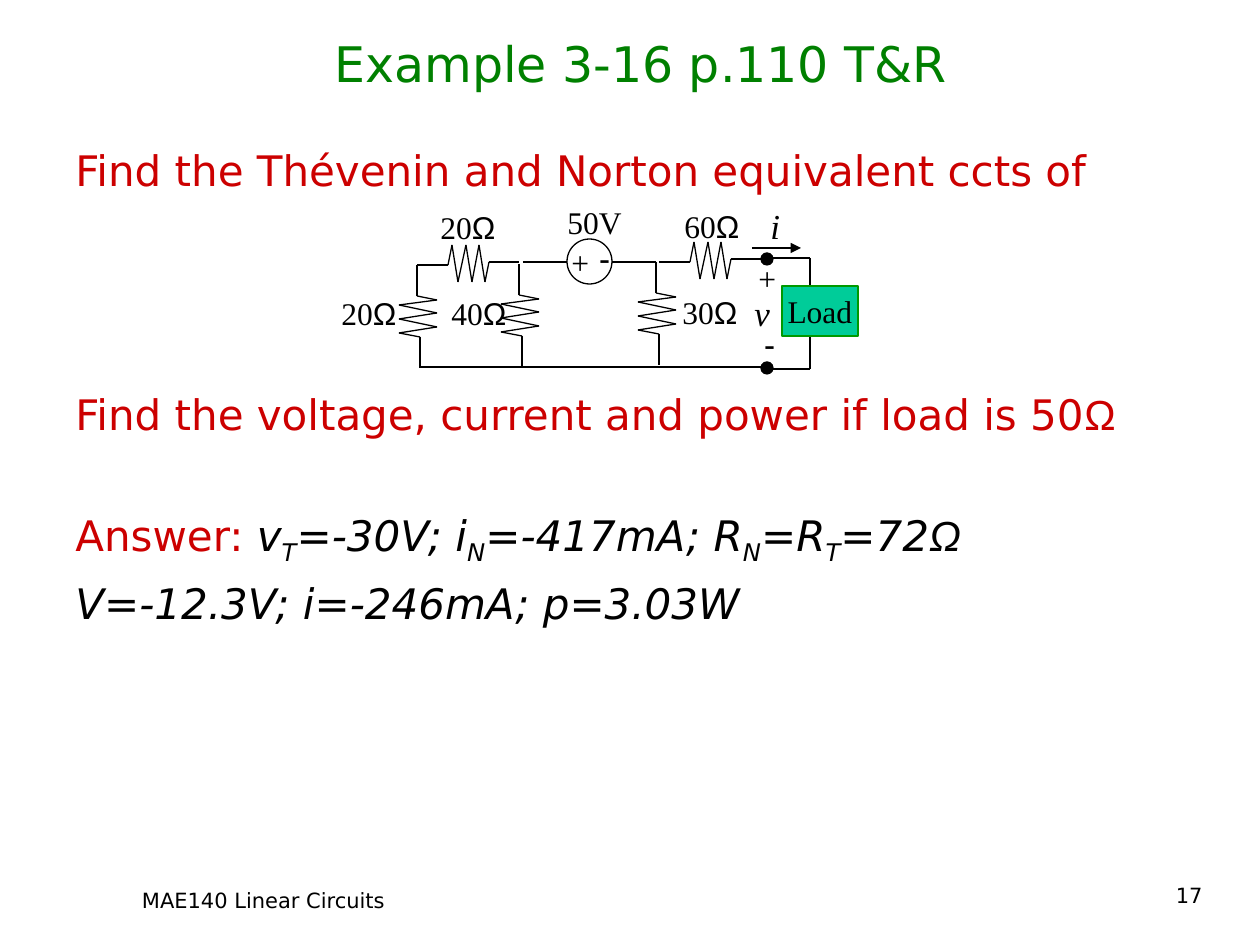
from itertools import pairwise

from lxml import etree
from pptx import Presentation
from pptx.dml.color import RGBColor
from pptx.enum import shapes, text
from pptx.oxml.ns import qn
from pptx.util import Pt

PX = 914400 / 126
SANS, SERIF, SYMBOL = "DejaVu Sans", "Times New Roman", "Arial"
BLACK, RED, GREEN = "000000", "CC0000", "008000"
LEFT, CENTER, RIGHT = text.PP_ALIGN.LEFT, text.PP_ALIGN.CENTER, text.PP_ALIGN.RIGHT

HEADINGS = [
    ("Example 3-16 p.110 T&R", (53, 21, 1175, 84), 28, GREEN, CENTER, text.MSO_ANCHOR.MIDDLE),
    ("MAE140 Linear Circuits", (25, 881, 477, 40), 12, BLACK, CENTER, text.MSO_ANCHOR.TOP),
    ("17", (953, 876, 262, 40), 12, BLACK, RIGHT, text.MSO_ANCHOR.TOP),
]
BODY_BOX = (63, 138, 1166, 702)
BODY = [
    (0, [("Find the Thévenin and Norton equivalent ccts of", RED, "")]),
    (111, [("Find the voltage, current and power if load is 50Ω", RED, "")]),
    (40, [("Answer: ", RED, ""), ("v", BLACK, "i"), ("T", BLACK, "i_"),
          ("=-30V; i", BLACK, "i"), ("N", BLACK, "i_"),
          ("=-417mA; R", BLACK, "i"), ("N", BLACK, "i_"),
          ("=R", BLACK, "i"), ("T", BLACK, "i_"), ("=72Ω", BLACK, "i")]),
    (6, [("V=-12.3V; i=-246mA; p=3.03W", BLACK, "i")]),
]
LABELS = [
    ("60Ω", (672, 201, 81, 50), 18, ""),
    ("30Ω", (670, 287, 81, 50), 18, ""),
    ("40Ω", (439, 288, 81, 50), 18, ""),
    ("20Ω", (329, 288, 81, 50), 18, ""),
    ("20Ω", (428, 202, 81, 50), 18, ""),
    ("50V", (555, 197, 79, 50), 18, ""),
    ("+", (559, 237, 43, 50), 18, ""),
    ("-", (587, 232, 35, 50), 18, "b"),
    ("+", (746, 253, 43, 50), 18, ""),
    ("-", (752, 318, 35, 50), 18, "b"),
    ("i", (758, 198, 34, 55), 20, "i"),
    ("v", (742, 285, 40, 55), 20, "i"),
]
UPRIGHT = [(0, 0), (0, 31), (20, 35), (-18, 40), (20, 48), (-18, 54),
           (20, 62), (-18, 68), (3, 72), (3, 103)]
LEVEL = [(0, 0), (31, 0), (35, -20), (41, 17), (49, -20), (55, 17),
         (62, -20), (68, 17), (72, -3), (102, -3)]
RESISTORS = [
    (LEVEL, 417, 265), (LEVEL, 659, 262),
    (UPRIGHT, 417, 265), (UPRIGHT, 519, 264), (UPRIGHT, 656, 262),
]
WIRES = [
    (612, 262, 656, 262), (523, 262, 567, 262), (420, 367, 765, 367),
    (767, 258, 810, 258), (810, 258, 810, 286),
    (810, 336, 810, 369), (810, 369, 767, 369),
]
CURRENT_ARROW = (752, 248, 801, 248)
SOURCE = (567, 239, 45, 45)
LOAD = (782, 286, 76, 50)
TERMINALS = [(761, 253, 12, 12), (761, 362, 12, 12)]


def emu(values):
    return [round(value * PX) for value in values]


def rgb(value):
    return RGBColor.from_string(value)


def add_spans(para, wording, size, color, font, marks=""):
    head, symbol, _ = wording.partition("Ω")
    for part, name in ((head, font), (symbol, SYMBOL)):
        if part:
            span = para.add_run()
            span.text = part
            span.font.name, span.font.size = name, Pt(size)
            span.font.color.rgb = rgb(color)
            span.font.bold, span.font.italic = "b" in marks, "i" in marks
            if "_" in marks:
                span.font._element.set("baseline", "-25000")


def add_box(page, frame, wrap=True):
    box = page.shapes.add_textbox(*emu(frame))
    box.text_frame.word_wrap = wrap
    return box.text_frame


def set_line(item, color=BLACK):
    item.line.color.rgb = rgb(color)
    item.line.width = Pt(0.75)


def add_preset(page, kind, frame, fill=None, line=BLACK):
    shape = page.shapes.add_shape(kind, *emu(frame))
    shape.shadow.inherit = False
    if fill:
        shape.fill.solid()
        shape.fill.fore_color.rgb = rgb(fill)
    else:
        shape.fill.background()
    set_line(shape, line)
    return shape


def add_wire(page, ends):
    wire = page.shapes.add_connector(shapes.MSO_CONNECTOR.STRAIGHT, *emu(ends))
    set_line(wire)
    etree.SubElement(wire._element.spPr, qn("a:effectLst"))
    return wire


def add_resistor(page, outline, left, top):
    corners = [(left + dx, top + dy) for dx, dy in outline]
    for start, end in pairwise(corners):
        add_wire(page, start + end)


def add_words(page):
    for wording, frame, size, color, align, anchor in HEADINGS:
        area = add_box(page, frame)
        area.vertical_anchor = anchor
        area.paragraphs[0].alignment = align
        add_spans(area.paragraphs[0], wording, size, color, SANS)
    area = add_box(page, BODY_BOX)
    for index, (gap, spans) in enumerate(BODY):
        para = area.add_paragraph() if index else area.paragraphs[0]
        para.alignment = LEFT
        para.space_before = Pt(gap)
        for wording, color, marks in spans:
            add_spans(para, wording, 24, color, SANS, marks)


def add_circuit(page):
    for resistor in RESISTORS:
        add_resistor(page, *resistor)
    oval = shapes.MSO_SHAPE.OVAL
    add_preset(page, oval, SOURCE)
    for ends in WIRES:
        add_wire(page, ends)
    load = add_preset(page, shapes.MSO_SHAPE.RECTANGLE, LOAD, "00CC99", "009900")
    load.text_frame.word_wrap = False
    load.text_frame.vertical_anchor = text.MSO_ANCHOR.MIDDLE
    load.text_frame.paragraphs[0].alignment = CENTER
    add_spans(load.text_frame.paragraphs[0], "Load", 18, BLACK, SERIF)
    for frame in TERMINALS:
        add_preset(page, oval, frame, BLACK)
    arrow = add_wire(page, CURRENT_ARROW)
    etree.SubElement(arrow.line._get_or_add_ln(), qn("a:tailEnd"), type="triangle")
    for wording, frame, size, marks in LABELS:
        area = add_box(page, frame, wrap=False)
        add_spans(area.paragraphs[0], wording, size, BLACK, SERIF, marks)


def main():
    deck = Presentation()
    deck.slide_width, deck.slide_height = emu((1260, 945))
    page = deck.slides.add_slide(deck.slide_layouts[6])
    add_words(page)
    add_circuit(page)
    deck.save("out.pptx")


if __name__ == "__main__":
    main()
